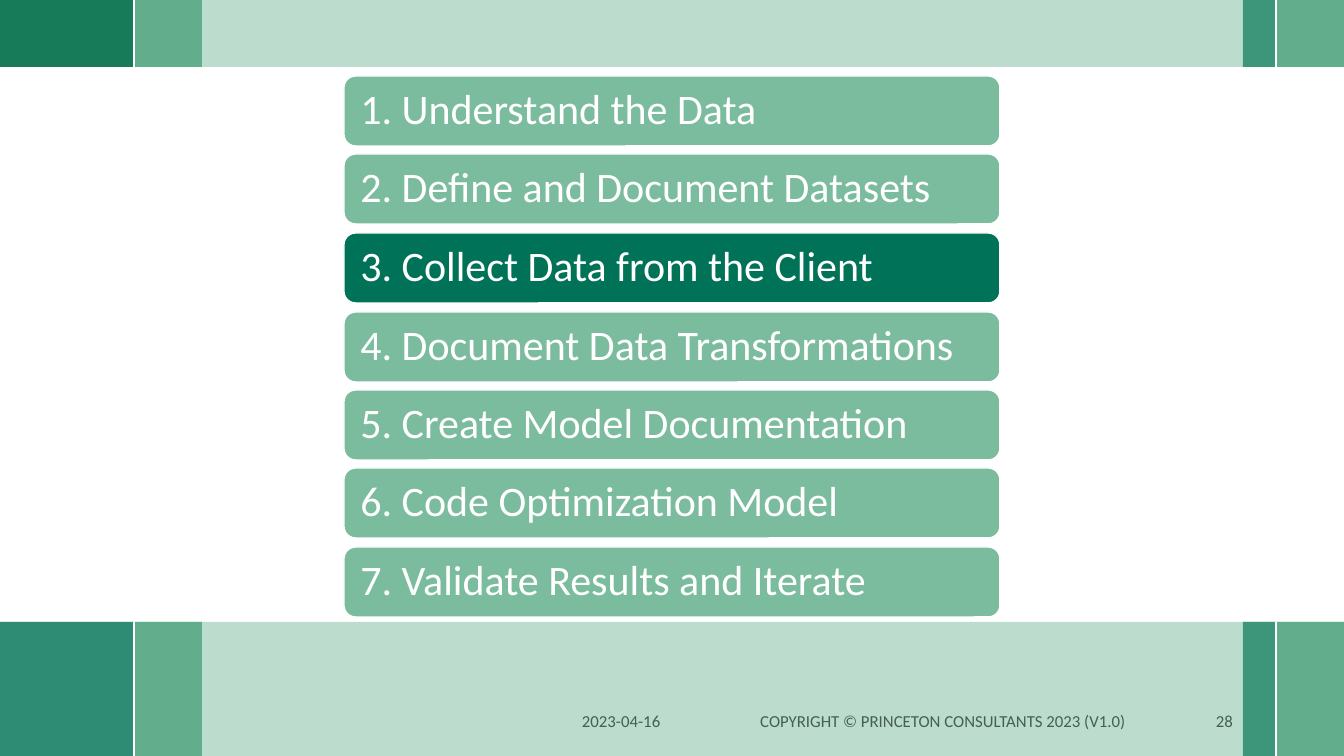
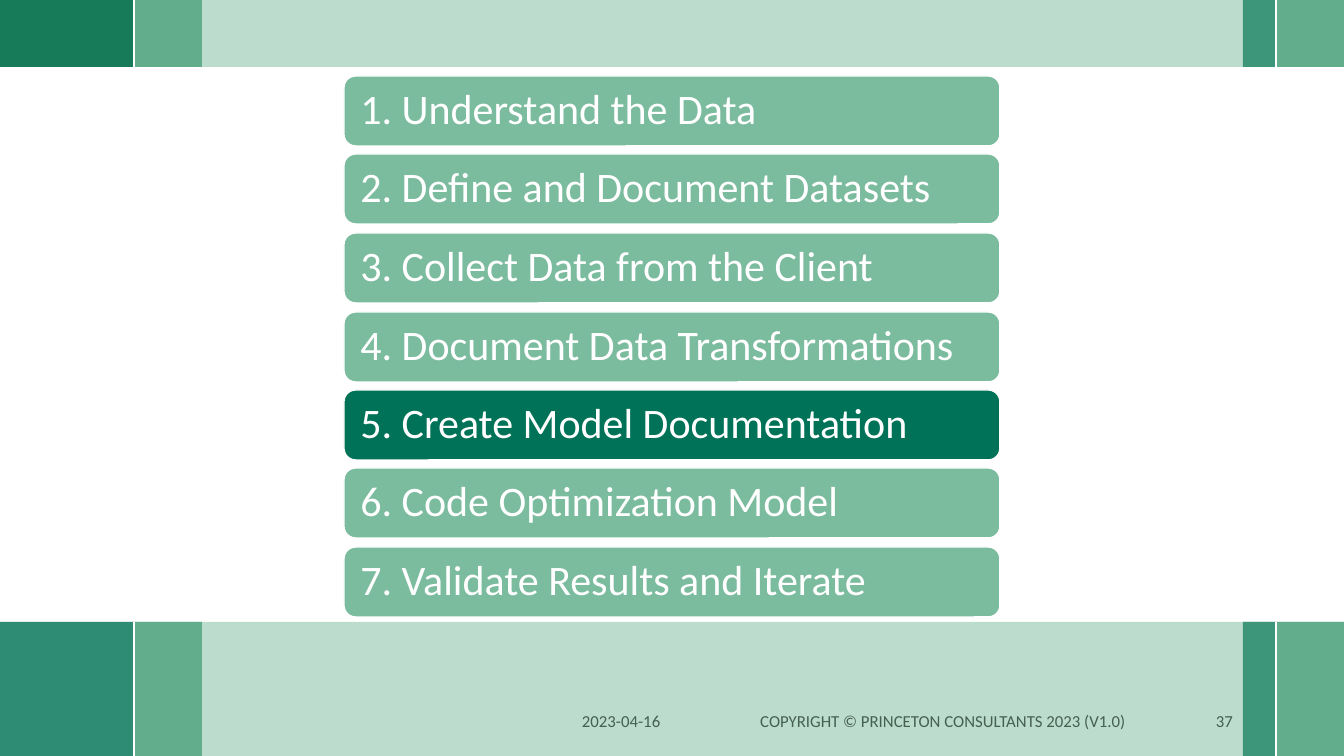
from dataclasses import dataclass

from lxml import etree
from pptx import Presentation
from pptx import util as u
from pptx.dml.color import RGBColor
from pptx.enum import shapes, text
from pptx.oxml.ns import qn

PAGE_WIDTH, PAGE_HEIGHT = 1344, 756
EMU_PER_PX = u.Inches(1) / 100.8


@dataclass(frozen=True)
class Theme:
    """Colours and type sizes of the deck."""
    deep: str = "007257"
    mid: str = "4A9F7B"
    soft: str = "7BBB9E"
    olive: str = "3F762B"
    white: str = "FFFFFF"
    footer: str = "455F51"
    font: str = "Calibri"
    step_size: int = 30
    footer_size: int = 12
    bar_line: float = 1
    divider_line: float = 1.5


@dataclass(frozen=True)
class Box:
    """A rectangle in px."""
    left: int
    top: int
    width: int
    height: int


@dataclass(frozen=True)
class Block:
    """A rectangle that fills a band from one column to another."""
    left: int
    right: int
    color: str
    opacity: int = 100


@dataclass(frozen=True)
class Band:
    top: int
    height: int
    corner: str | None = None


@dataclass(frozen=True)
class FooterItem:
    content: str
    left: int
    width: int
    align: text.PP_ALIGN


@dataclass(frozen=True)
class Agenda:
    current: int
    number: int


THEME = Theme()

# Band columns, left to right
LEFT_DIVIDER, LEFT_END, RIGHT_START, RIGHT_DIVIDER = 134, 202, 1243, 1276
BANDS = [Band(622, 134), Band(0, 67, corner=THEME.olive)]
UNDER_BLOCKS = [
    Block(RIGHT_DIVIDER, PAGE_WIDTH, THEME.mid),
    Block(RIGHT_START, RIGHT_DIVIDER, THEME.deep),
    Block(LEFT_DIVIDER, LEFT_END, THEME.mid),
]
WASH = Block(0, PAGE_WIDTH, THEME.soft, opacity=50)
CORNER_WASH = Block(0, LEFT_DIVIDER, THEME.deep, opacity=75)

FOOTER_TOP, FOOTER_HEIGHT = 701, 40
STEPS_AREA = Box(344, 76, 656, 541)
STEP_HEIGHT, STEP_INSET = 70, 13
STEPS = [
    "Understand the Data",
    "Define and Document Datasets",
    "Collect Data from the Client",
    "Document Data Transformations",
    "Create Model Documentation",
    "Code Optimization Model",
    "Validate Results and Iterate",
]
AGENDAS = [Agenda(current=3, number=28), Agenda(current=5, number=37)]


def emu(px: float) -> int:
    return round(px * EMU_PER_PX)


def place(box: Box) -> tuple[int, ...]:
    return tuple(emu(px) for px in (box.left, box.top, box.width, box.height))


def write(shape, content: str, *, size: int, color: str,
          align: text.PP_ALIGN = text.PP_ALIGN.LEFT,
          inset_x: int = 10, inset_y: int = 5, spacing: float = 1.0) -> None:
    frame = shape.text_frame
    frame.word_wrap = True
    frame.vertical_anchor = text.MSO_ANCHOR.MIDDLE
    frame.margin_left = frame.margin_right = emu(inset_x)
    frame.margin_top = frame.margin_bottom = emu(inset_y)
    para = frame.paragraphs[0]
    para.alignment = align
    para.line_spacing = spacing
    span = para.add_run()
    span.text = content
    span.font.name = THEME.font
    span.font.size = u.Pt(size)
    span.font.color.rgb = RGBColor.from_string(color)


def add_filled(page, kind: shapes.MSO_SHAPE, box: Box, color: str,
               opacity: int = 100):
    shape = page.shapes.add_shape(kind, *place(box))
    shape.shadow.inherit = False
    shape.fill.solid()
    shape.fill.fore_color.rgb = RGBColor.from_string(color)
    shape.line.fill.background()
    if opacity < 100:
        fill = shape.fill._xPr.find(qn("a:solidFill"))
        etree.SubElement(fill[0], qn("a:alpha"), val=str(opacity * 1000))
    return shape


def add_divider(page, x: int, band: Band) -> None:
    line = page.shapes.add_connector(
        shapes.MSO_CONNECTOR.STRAIGHT, emu(x), emu(band.top),
        emu(x), emu(band.top + band.height))
    line.line.color.rgb = RGBColor.from_string(THEME.white)
    line.line.width = u.Pt(THEME.divider_line)
    etree.SubElement(line._element.spPr, qn("a:effectLst"))


def add_band(page, band: Band) -> None:
    def add_block(block: Block) -> None:
        box = Box(block.left, band.top, block.right - block.left, band.height)
        add_filled(page, shapes.MSO_SHAPE.RECTANGLE, box, block.color,
                   block.opacity)

    for block in UNDER_BLOCKS:
        add_block(block)
    if band.corner:
        add_block(Block(0, LEFT_DIVIDER, band.corner))
    add_block(WASH)
    add_divider(page, RIGHT_DIVIDER, band)
    add_block(CORNER_WASH)
    add_divider(page, LEFT_DIVIDER, band)


def add_footer(page, number: int) -> None:
    items = [
        FooterItem("2023-04-16", 572, 134, text.PP_ALIGN.LEFT),
        FooterItem("COPYRIGHT © PRINCETON CONSULTANTS 2023 (V1.0)", 722, 442,
                   text.PP_ALIGN.CENTER),
        FooterItem(str(number), 1176, 67, text.PP_ALIGN.RIGHT),
    ]
    for item in items:
        box = Box(item.left, FOOTER_TOP, item.width, FOOTER_HEIGHT)
        write(page.shapes.add_textbox(*place(box)), item.content,
              size=THEME.footer_size, color=THEME.footer, align=item.align)


def add_steps(page, current: int) -> None:
    pitch = (STEPS_AREA.height - STEP_HEIGHT) / (len(STEPS) - 1)
    for index, step in enumerate(STEPS):
        box = Box(STEPS_AREA.left, round(STEPS_AREA.top + index * pitch),
                  STEPS_AREA.width, STEP_HEIGHT)
        color = THEME.deep if index + 1 == current else THEME.soft
        bar = add_filled(page, shapes.MSO_SHAPE.ROUNDED_RECTANGLE, box, color)
        bar.line.color.rgb = RGBColor.from_string(THEME.white)
        bar.line.width = u.Pt(THEME.bar_line)
        write(bar, f"{index + 1}. {step}", size=THEME.step_size,
              color=THEME.white, inset_x=STEP_INSET, inset_y=STEP_INSET,
              spacing=0.9)


def main() -> None:
    deck = Presentation()
    deck.slide_width, deck.slide_height = emu(PAGE_WIDTH), emu(PAGE_HEIGHT)
    blank = deck.slide_layouts[6]
    for agenda in AGENDAS:
        page = deck.slides.add_slide(blank)
        # Shared frame
        for band in BANDS:
            add_band(page, band)
        add_footer(page, agenda.number)
        # Agenda with the current step highlighted
        add_steps(page, agenda.current)
    deck.save("out.pptx")


if __name__ == "__main__":
    main()
